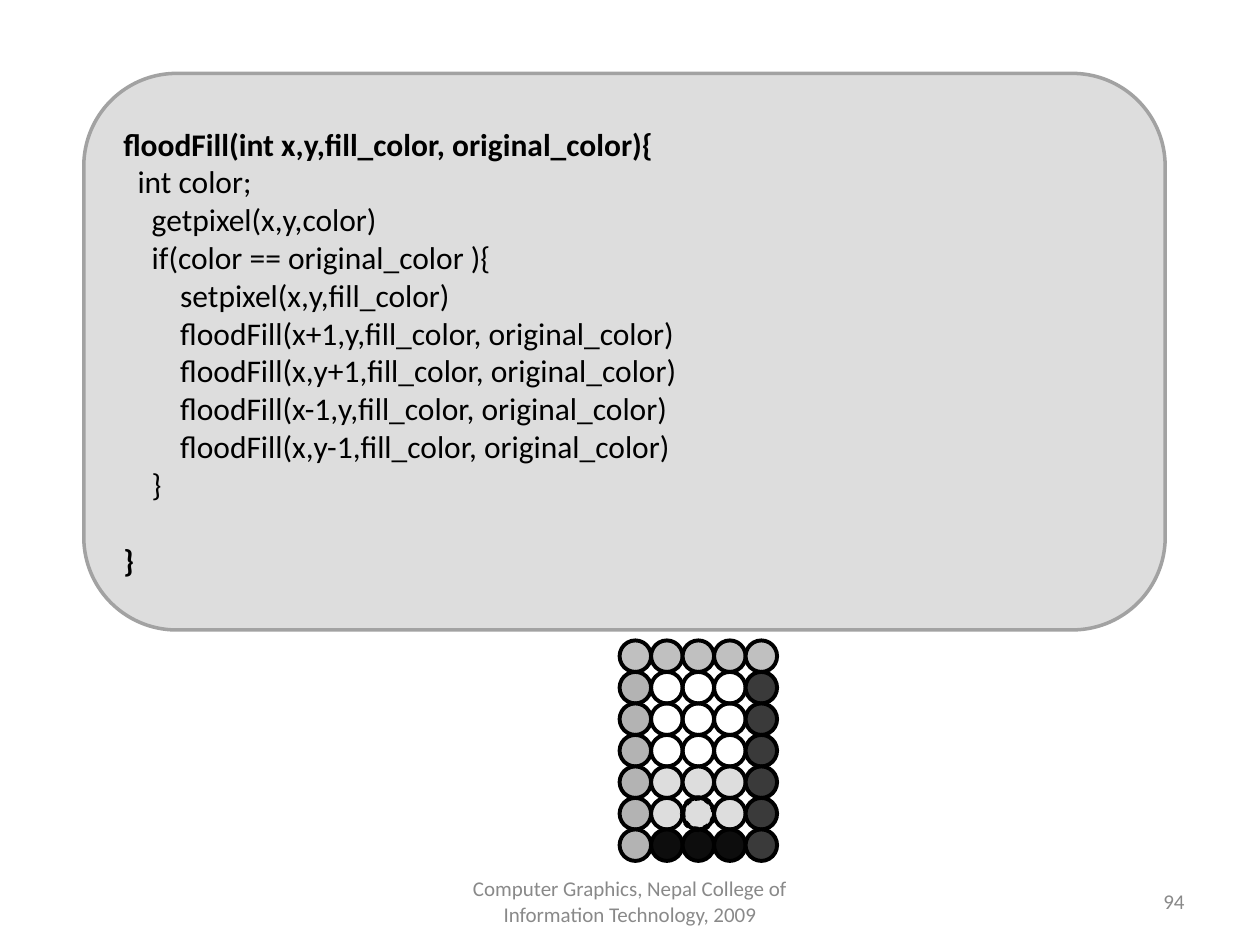
import pptx
import pptx.dml.color
import pptx.enum.dml
import pptx.enum.shapes
import pptx.enum.text
import pptx.util

Cm = pptx.util.Cm
Pt = pptx.util.Pt
ALIGN = pptx.enum.text.PP_ALIGN
SHAPE = pptx.enum.shapes.MSO_SHAPE

COLORS = {
    "panel": "DDDDDD",
    "panel_edge": "A2A2A2",
    "ink": "000000",
    "footer": "898989",
    "top": "C0C0C0",
    "left": "B3B3B3",
    "right": "3A3A3A",
    "bottom": "0D0D0D",
    "flooded": "DDDDDD",
}

CODE = [
    "floodFill(int x,y,fill_color, original_color){",
    "  int color;",
    "    getpixel(x,y,color)",
    "    if(color == original_color ){",
    "        setpixel(x,y,fill_color)",
    "        floodFill(x+1,y,fill_color, original_color)",
    "        floodFill(x,y+1,fill_color, original_color)",
    "        floodFill(x-1,y,fill_color, original_color)",
    "        floodFill(x,y-1,fill_color, original_color)",
    "    }",
    "}",
]

PIXEL_ROWS = ["TTTTT", "L...R", "L...R", "L...R", "LFFFR", "LFFFR", "LBBBR"]
PIXEL_FILLS = {"T": "top", "L": "left", "R": "right", "B": "bottom", "F": "flooded"}
SEED_ROW, SEED_COLUMN = 5, 2


def rgb(name):
    return pptx.dml.color.RGBColor.from_string(COLORS[name])


def add_pixel(row, column, fill, line_width):
    pixel = slide.shapes.add_shape(
        SHAPE.OVAL, grid_left + column * pixel_size, grid_top + row * pixel_size,
        pixel_size, pixel_size)
    pixel.shadow.inherit = False
    if fill:
        pixel.fill.solid()
        pixel.fill.fore_color.rgb = rgb(fill)
    else:
        pixel.fill.background()
    pixel.line.color.rgb = rgb("ink")
    pixel.line.width = Pt(line_width)
    return pixel


deck = pptx.Presentation()
deck.slide_width = Cm(25.4)
deck.slide_height = Cm(19.05)
slide = deck.slides.add_slide(deck.slide_layouts[6])

code_panel = slide.shapes.add_shape(
    SHAPE.ROUNDED_RECTANGLE, Cm(1.69), Cm(1.48), Cm(21.8), Cm(11.22))
code_panel.shadow.inherit = False
code_panel.fill.solid()
code_panel.fill.fore_color.rgb = rgb("panel")
code_panel.line.color.rgb = rgb("panel_edge")
code_panel.line.width = Pt(2)
code_panel.text_frame.word_wrap = True
code_panel.text_frame.vertical_anchor = pptx.enum.text.MSO_ANCHOR.MIDDLE
code_panel.text_frame.text = "\n".join(CODE)
code_lines = code_panel.text_frame.paragraphs
for code_line in code_lines:
    code_line.alignment = ALIGN.LEFT
    font = code_line.runs[0].font
    font.name = "Calibri"
    font.size = Pt(18)
    font.bold = code_line.text in (CODE[0], CODE[-1])
    font.color.rgb = rgb("ink")
code_lines[-1].space_before = Pt(22)

for left, width, words, alignment in [
    (8.68, 8.04, "Computer Graphics, Nepal College of Information Technology, 2009", ALIGN.CENTER),
    (18.2, 5.93, "94", ALIGN.RIGHT),
]:
    footer = slide.shapes.add_textbox(Cm(left), Cm(17.66), Cm(width), Cm(1.01)).text_frame
    footer.word_wrap = True
    footer.vertical_anchor = pptx.enum.text.MSO_ANCHOR.MIDDLE
    footer.text = words
    footer.paragraphs[0].alignment = alignment
    font = footer.paragraphs[0].runs[0].font
    font.name = "Calibri"
    font.size = Pt(12)
    font.color.rgb = rgb("footer")

grid_left, grid_top = Cm(12.49), Cm(12.91)
pixel_size = Cm(2.54) // 4
for row, pixel_row in enumerate(PIXEL_ROWS):
    for column, kind in enumerate(pixel_row):
        add_pixel(row, column, PIXEL_FILLS.get(kind), 2.25)

seed = add_pixel(SEED_ROW, SEED_COLUMN, None, 3)
seed.line.dash_style = pptx.enum.dml.MSO_LINE.ROUND_DOT

deck.save("out.pptx")
